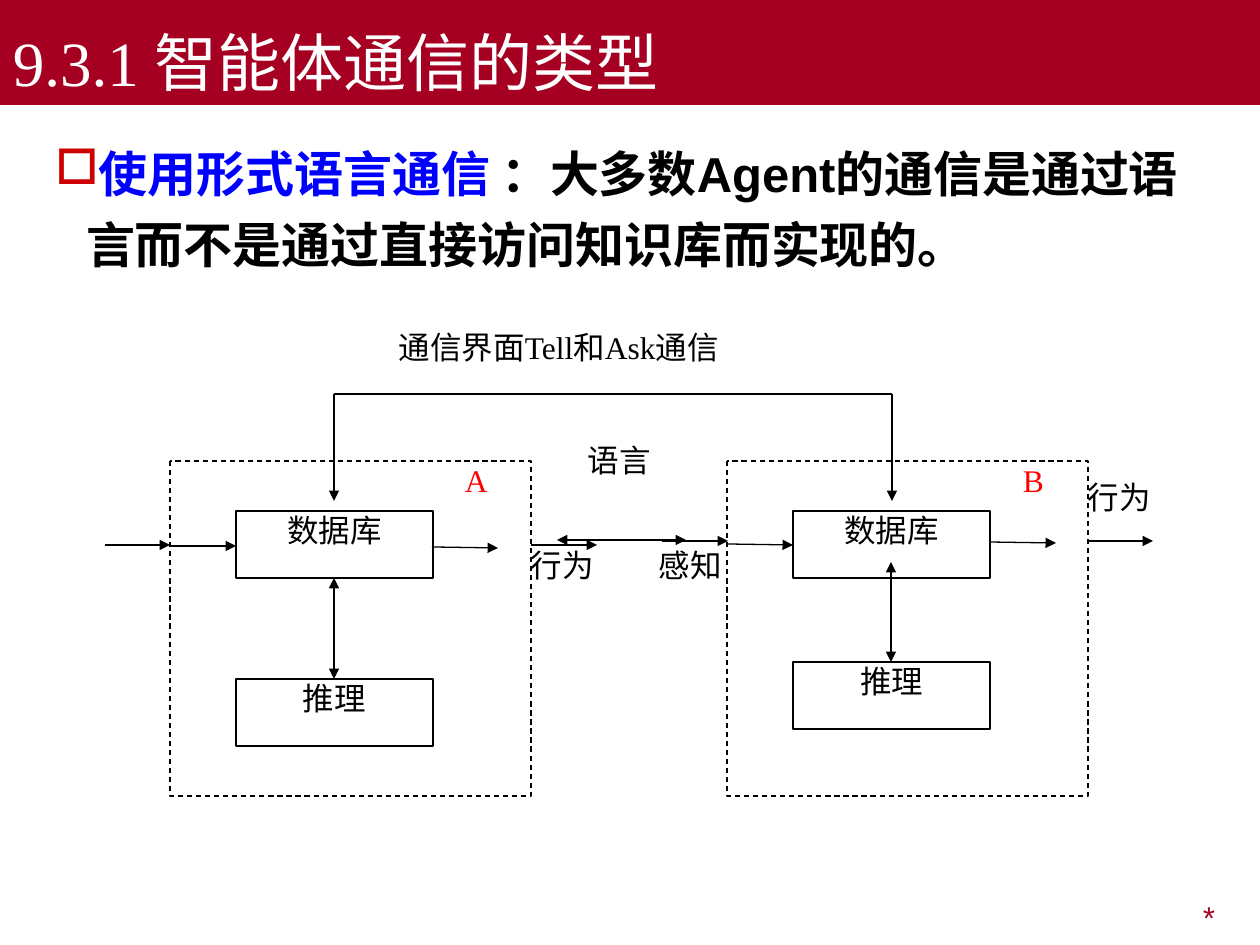
from lxml.etree import SubElement
from pptx import Presentation
from pptx.dml.color import RGBColor
from pptx.enum.dml import MSO_LINE
from pptx.enum.shapes import MSO_CONNECTOR, MSO_SHAPE
from pptx.enum.text import MSO_ANCHOR, PP_ALIGN
from pptx.oxml.ns import qn
from pptx.util import Emu, Pt

THEME = {
    "crimson": RGBColor(0xA5, 0x00, 0x21),
    "bullet": "CC0000",
    "blue": RGBColor(0x00, 0x00, 0xFF),
    "red": RGBColor(0xFF, 0x00, 0x00),
    "black": RGBColor(0x00, 0x00, 0x00),
    "white": RGBColor(0xFF, 0xFF, 0xFF),
    "serif": "Times New Roman",
    "sans": "Arial",
    "title": Pt(36),
    "body": Pt(28),
    "label": Pt(18),
    "line": Pt(0.75),
}


def px(length):
    """Turn a length at 126 px to the inch into EMU."""
    return Emu(round(length * 914400 / 126))


def write(shape, spans, align, size, font, insets=(0, 0), anchor=MSO_ANCHOR.TOP, bold=False):
    """Fill a shape with one paragraph of (text, colour) spans; insets are (side, top and bottom)."""
    side, end = (px(inset) for inset in insets)
    frame = shape.text_frame
    frame_format = {"word_wrap": True, "vertical_anchor": anchor, "margin_left": side,
                    "margin_right": side, "margin_top": end, "margin_bottom": end}
    for name, value in frame_format.items():
        setattr(frame, name, value)
    para = frame.paragraphs[0]
    para.alignment = align
    for text, colour in spans:
        span = para.add_run()
        span.text = text
        for name, value in {"size": size, "name": font, "bold": bold}.items():
            setattr(span.font, name, value)
        span.font.color.rgb = colour
    return para


deck = Presentation()
deck.slide_width, deck.slide_height = px(1260), px(945)
page = deck.slides.add_slide(deck.slide_layouts[6])
shapes = page.shapes

# Title band
band = shapes.add_shape(MSO_SHAPE.RECTANGLE, px(0), px(0), px(1260), px(105))
band.shadow.inherit = False
band.fill.solid()
band.fill.fore_color.rgb = THEME["crimson"]
band.line.fill.background()
write(band, [("9.3.1 智能体通信的类型", THEME["white"])], PP_ALIGN.LEFT,
      THEME["title"], THEME["serif"], (13, 6), MSO_ANCHOR.BOTTOM)

# Bulleted statement
statement = shapes.add_textbox(px(42), px(126), px(1165), px(230))
para = write(statement, [
    ("使用形式语言通信 ", THEME["blue"]),
    ("：大多数Agent的通信是通过语言而不是通过直接访问知识库而实现的。", THEME["black"]),
], PP_ALIGN.LEFT, THEME["body"], THEME["sans"], (13, 6), bold=True)
para.line_spacing = 1.2
properties = para._p.get_or_add_pPr()
properties.set("marL", str(px(31)))
properties.set("indent", str(px(-31)))
bullet_colour = SubElement(properties, qn("a:buClr"))
SubElement(bullet_colour, qn("a:srgbClr"), val=THEME["bullet"])
SubElement(properties, qn("a:buChar"), char="□")

# The two agents: dashed frame, database and reasoning boxes
for left, reasoning_top in [(170, 679), (727, 662)]:
    outline = shapes.build_freeform(px(left), px(461), 1.0)
    outline.add_line_segments([(px(left), px(796)), (px(left + 361), px(796)),
                               (px(left + 361), px(461))], close=True)
    agent = outline.convert_to_shape()
    agent.shadow.inherit = False
    agent.fill.background()
    agent.line.color.rgb = THEME["black"]
    agent.line.width = THEME["line"]
    agent.line.dash_style = MSO_LINE.DASH

    for text, top in [("数据库", 511), ("推理", reasoning_top)]:
        box = shapes.add_shape(MSO_SHAPE.FLOWCHART_PROCESS, px(left + 66), px(top), px(197), px(67))
        box.shadow.inherit = False
        box.fill.solid()
        box.fill.fore_color.rgb = THEME["white"]
        box.line.color.rgb = THEME["black"]
        box.line.width = THEME["line"]
        write(box, [(text, THEME["black"])], PP_ALIGN.CENTER, THEME["label"], THEME["serif"], (13, 0))

# Lines: start, end, ends that carry an arrowhead
FORWARD, BOTH = ["tailEnd"], ["headEnd", "tailEnd"]
links = [
    ((105, 545), (170, 545), FORWARD),
    ((170, 546), (236, 546), FORWARD),
    ((432, 547), (498, 548), FORWARD),
    ((531, 545), (597, 545), FORWARD),
    ((557, 540), (686, 540), BOTH),
    ((662, 541), (728, 541), FORWARD),
    ((728, 544), (793, 545), FORWARD),
    ((990, 542), (1056, 543), FORWARD),
    ((1087, 541), (1153, 541), FORWARD),
    ((334, 578), (334, 679), BOTH),
    ((891, 562), (891, 662), BOTH),
    ((334, 394), (334, 501), FORWARD),
    ((334, 394), (892, 394), []),
    ((892, 394), (892, 501), FORWARD),
]
for start, end, heads in links:
    link = shapes.add_connector(MSO_CONNECTOR.STRAIGHT, *map(px, start + end))
    link.line.color.rgb = THEME["black"]
    link.line.width = THEME["line"]
    for head in heads:
        SubElement(link.line._get_or_add_ln(), qn(f"a:{head}"), type="triangle")
    SubElement(link._element.spPr, qn("a:effectLst"))

# Labels: text, left, top, width, colour
labels = [
    ("通信界面Tell和Ask通信", 399, 328, 361, "black"),
    ("语言", 588, 441, 98, "black"),
    ("行为", 531, 546, 98, "black"),
    ("感知", 659, 546, 98, "black"),
    ("行为", 1088, 478, 98, "black"),
    ("A", 465, 461, 98, "red"),
    ("B", 1023, 461, 98, "red"),
]
for text, left, top, width, colour in labels:
    label = shapes.add_textbox(px(left), px(top), px(width), px(67))
    write(label, [(text, THEME[colour])], PP_ALIGN.JUSTIFY, THEME["label"], THEME["serif"])

page_mark = shapes.add_textbox(px(955), px(892), px(273), px(49))
write(page_mark, [("*", THEME["crimson"])], PP_ALIGN.RIGHT, THEME["label"], THEME["sans"], (13, 6))

deck.save("out.pptx")
